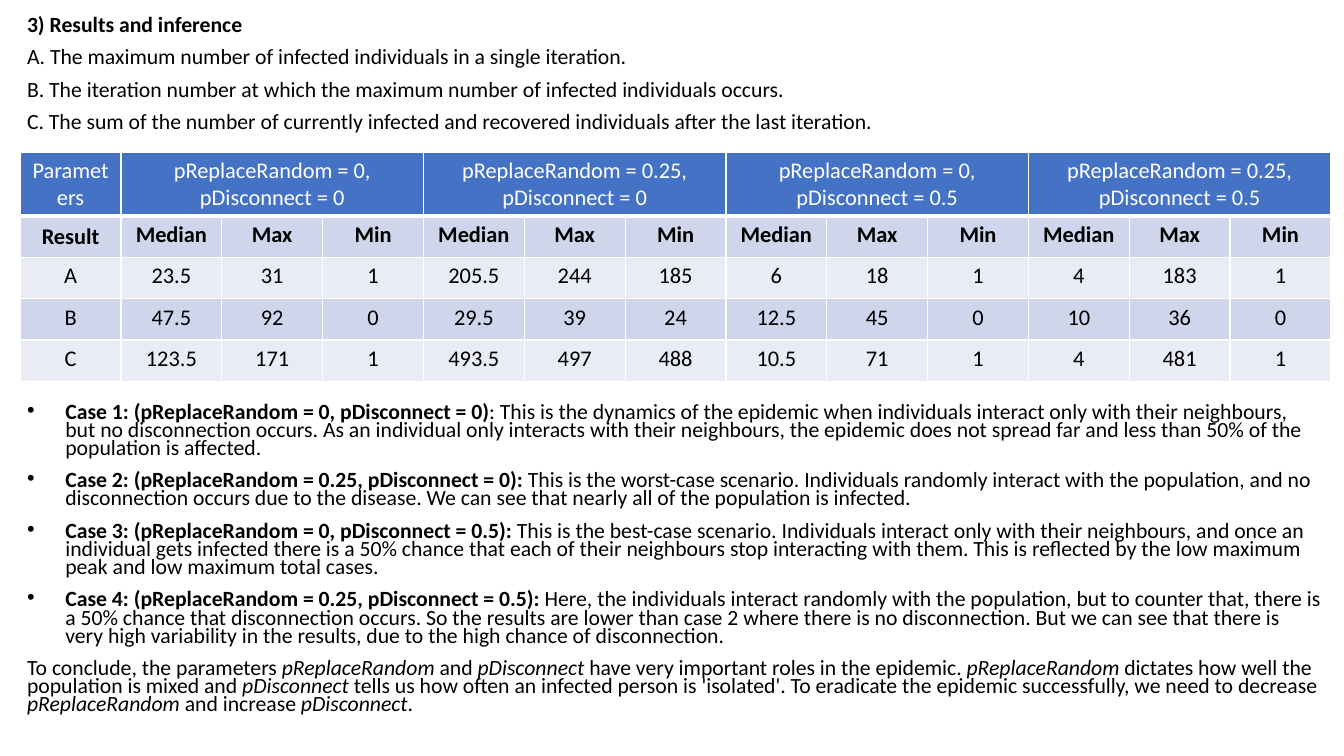
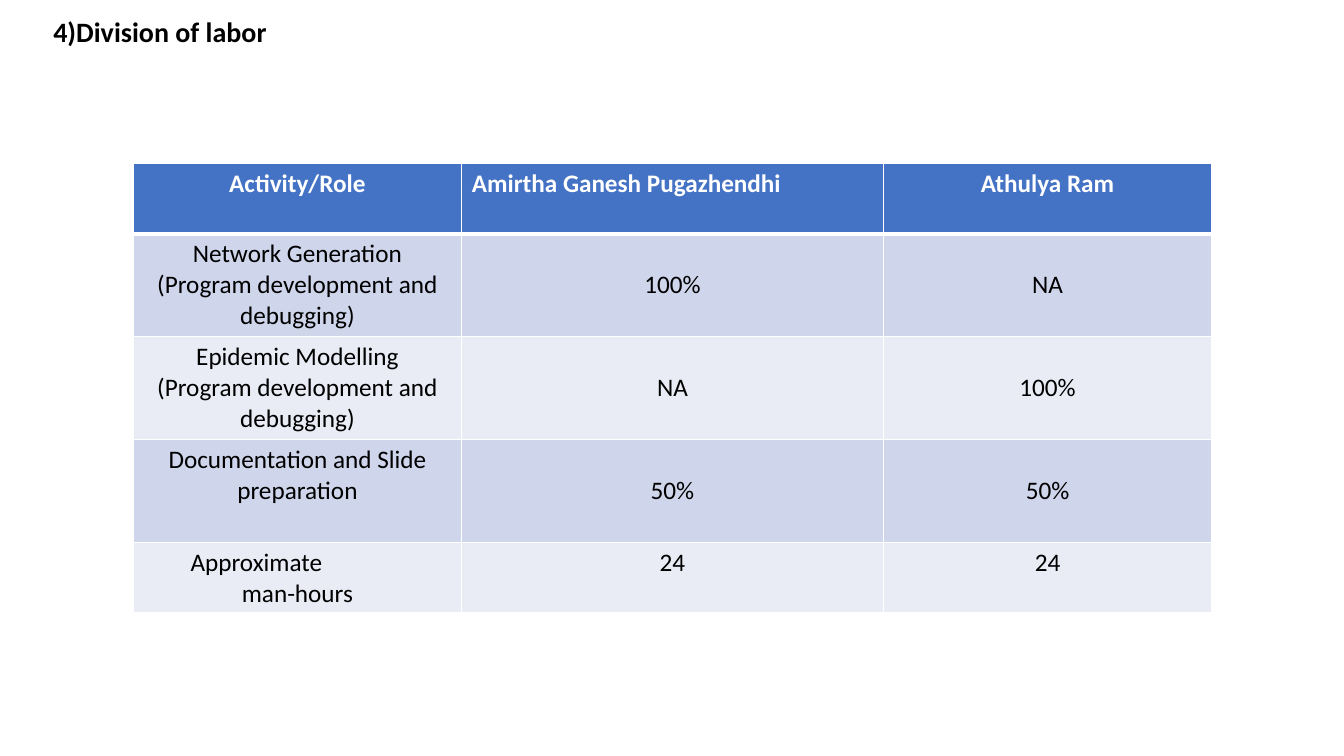
from lxml.etree import SubElement as Sub
from pptx import Presentation
from pptx.dml.color import RGBColor as RGB
from pptx.enum.text import MSO_ANCHOR as Anchor, PP_ALIGN as Align
from pptx.oxml.ns import qn
from pptx.util import Inches, Pt

BLACK = RGB(0, 0, 0)
WHITE = RGB(255, 255, 255)
BLUE = RGB(0x44, 0x72, 0xC4)
BANDS = (RGB(0xE9, 0xEB, 0xF5), RGB(0xCF, 0xD5, 0xEA))
FONT = "Calibri"


def apply(item, values):
    """Set every attribute named in a dict of format values."""
    for name, value in values.items():
        setattr(item, name, value)


def write(para, text, size, color=BLACK, mark="bold", **form):
    """Fill a paragraph; parts between asterisks get the marked style."""
    apply(para, form)
    for n, part in enumerate(text.split("*")):
        if part:
            run = para.add_run()
            run.text = part
            font = {"name": FONT, "size": Pt(size), "bold": False, "italic": False}
            font[mark] = n % 2 == 1
            apply(run.font, font)
            run.font.color.rgb = color


def indent(para, left, hang=0.0):
    """Set the left margin and first-line indent of a paragraph."""
    props = para._p.get_or_add_pPr()
    props.set("marL", str(Inches(left)))
    props.set("indent", str(Inches(-hang)))
    return props


def bullet(para):
    """Give a paragraph a round bullet with a hanging indent."""
    props = indent(para, 0.38, 0.38)
    Sub(props, qn("a:buFont"), typeface="Arial")
    Sub(props, qn("a:buChar"), char="•")


def edge(cell, row):
    """Draw white cell borders, thick below the header row."""
    wide = {("lnB", 0), ("lnT", 1)}
    for side in ("lnL", "lnR", "lnT", "lnB"):
        width = Pt(3 if (side, row) in wide else 1)
        line = Sub(cell._tc.get_or_add_tcPr(), qn("a:" + side), w=str(width))
        fill = Sub(line, qn("a:solidFill"))
        Sub(fill, qn("a:srgbClr"), val=str(WHITE))


class Deck:
    """Holds the presentation, its style and the current slide."""

    def __init__(self):
        """Start a wide presentation."""
        self.show = Presentation()
        apply(self.show, {"slide_width": Inches(13.33), "slide_height": Inches(7.5)})
        self.slide = None

    def page(self):
        """Add a blank slide."""
        self.slide = self.show.slides.add_slide(self.show.slide_layouts[6])

    def body(self, left, width, size, lead, paras):
        """Add a tall text box of (text, format, bulleted) paragraphs."""
        box = self.slide.shapes.add_textbox(
            Inches(left), Inches(0.13), Inches(width), Inches(7.37))
        frame = box.text_frame
        frame.word_wrap = True
        for n, (text, form, dot) in enumerate(paras):
            para = frame.paragraphs[0] if n == 0 else frame.add_paragraph()
            if dot:
                bullet(para)
            base = {"line_spacing": lead, "space_before": Pt(10)}
            write(para, text, size, **{**base, **form})

    def table(self, left, top, cols, rows, size, data):
        """Add a banded table; asterisks mark bold, line breaks split paragraphs."""
        grid = self.slide.shapes.add_table(
            len(rows), len(cols), Inches(left), Inches(top),
            Inches(sum(cols)), Inches(sum(rows))).table
        for col, width in zip(grid.columns, cols):
            col.width = Inches(width)
        for r, (high, line) in enumerate(zip(rows, data)):
            grid.rows[r].height = Inches(high)
            for c, text in enumerate(line):
                cell = grid.cell(r, c)
                edge(cell, r)
                cell.fill.solid()
                cell.fill.fore_color.rgb = BANDS[r % 2] if r else BLUE
                frame = cell.text_frame
                for n, part in enumerate(text.split("\n")):
                    para = frame.paragraphs[0] if n == 0 else frame.add_paragraph()
                    write(para, part, size, BLACK if r else WHITE,
                          alignment=Align.CENTER)
        return grid


def results(deck):
    """Build the slide with results and inference."""
    deck.page()
    intro = (
        "*3) Results and inference*",
        "A. The maximum number of infected individuals in a single iteration.",
        "B. The iteration number at which the maximum number of infected "
        "individuals occurs.",
        "C. The sum of the number of currently infected and recovered "
        "individuals after the last iteration.",
    )
    cases = (
        "*Case 1: (pReplaceRandom = 0, pDisconnect = 0)*: This is the dynamics of "
        "the epidemic when individuals interact only with their neighbours, but no "
        "disconnection occurs. As an individual only interacts with their "
        "neighbours, the epidemic does not spread far and less than 50% of the "
        "population is affected.",
        "*Case 2: (pReplaceRandom = 0.25, pDisconnect = 0): *This is the worst-case "
        "scenario. Individuals randomly interact with the population, and no "
        "disconnection occurs due to the disease. We can see that nearly all of "
        "the population is infected.",
        "*Case 3: (pReplaceRandom = 0, pDisconnect = 0.5): *This is the best-case "
        "scenario. Individuals interact only with their neighbours, and once an "
        "individual gets infected there is a 50% chance that each of their "
        "neighbours stop interacting with them. This is reflected by the low "
        "maximum peak and low maximum total cases.",
        "*Case 4: (pReplaceRandom = 0.25, pDisconnect = 0.5): *Here, the individuals "
        "interact randomly with the population, but to counter that, there is a 50% "
        "chance that disconnection occurs. So the results are lower than case 2 "
        "where there is no disconnection. But we can see that there is very high "
        "variability in the results, due to the high chance of disconnection.",
    )
    close = (
        "To conclude, the parameters *pReplaceRandom *and *pDisconnect *have very "
        "important roles in the epidemic. *pReplaceRandom *dictates how well the "
        "population is mixed and *pDisconnect *tells us how often an infected person "
        "is 'isolated'. To eradicate the epidemic successfully, we need to decrease "
        "*pReplaceRandom *and increase *pDisconnect*."
    )
    paras = [(text, {}, False) for text in intro]
    # The first case starts below the table.
    paras += [(text, {"space_before": Pt(10 if n else 194)}, True)
              for n, text in enumerate(cases)]
    paras.append((close, {"mark": "italic"}, False))
    deck.body(0.17, 13.03, 15.5, 0.7, paras)

    pairs = (("0", "0"), ("0.25", "0"), ("0", "0.5"), ("0.25", "0.5"))
    head = ["Parameters"]
    for swap, cut in pairs:
        head += [f"pReplaceRandom = {swap}, pDisconnect = {cut}", "", ""]
    stats = (
        "A 23.5 31 1 205.5 244 185 6 18 1 4 183 1",
        "B 47.5 92 0 29.5 39 24 12.5 45 0 10 36 0",
        "C 123.5 171 1 493.5 497 488 10.5 71 1 4 481 1",
    )
    names = ["*Result*"] + ["*Median*", "*Max*", "*Min*"] * len(pairs)
    data = [head, names] + [line.split() for line in stats]
    grid = deck.table(0.2, 1.51, [1] * 13, [0.63] + [0.41] * 4, 16, data)
    for col in range(1, 13, 3):
        grid.cell(0, col).merge(grid.cell(0, col + 2))
    grid.cell(1, 0).vertical_anchor = Anchor.MIDDLE


def labor(deck):
    """Build the slide with the division of labor."""
    deck.page()
    deck.body(0.43, 12.48, 20, 0.9, [("*4)Division of labor*", {}, False)])
    task = "\n(Program development and debugging)"
    data = (
        ("*Activity/Role*", "*Amirtha Ganesh Pugazhendhi*", "*Athulya Ram*"),
        ("Network Generation" + task, "100%", "NA"),
        ("Epidemic Modelling" + task, "NA", "100%"),
        ("Documentation and Slide preparation", "50%", "50%"),
        ("Approximate\nman-hours", "24", "24"),
    )
    rows = [0.7, 1.02, 1.02, 1.02, 0.7]
    grid = deck.table(1.32, 1.62, [3.26, 4.18, 3.26], rows, 18, data)
    for row in range(1, 4):
        for col in (1, 2):
            grid.cell(row, col).vertical_anchor = Anchor.MIDDLE
    grid.cell(0, 1).text_frame.paragraphs[0].alignment = Align.LEFT
    first = grid.cell(4, 0).text_frame.paragraphs[0]
    first.alignment = Align.LEFT
    indent(first, 0.47)


deck = Deck()
results(deck)
labor(deck)
deck.show.save("out.pptx")
